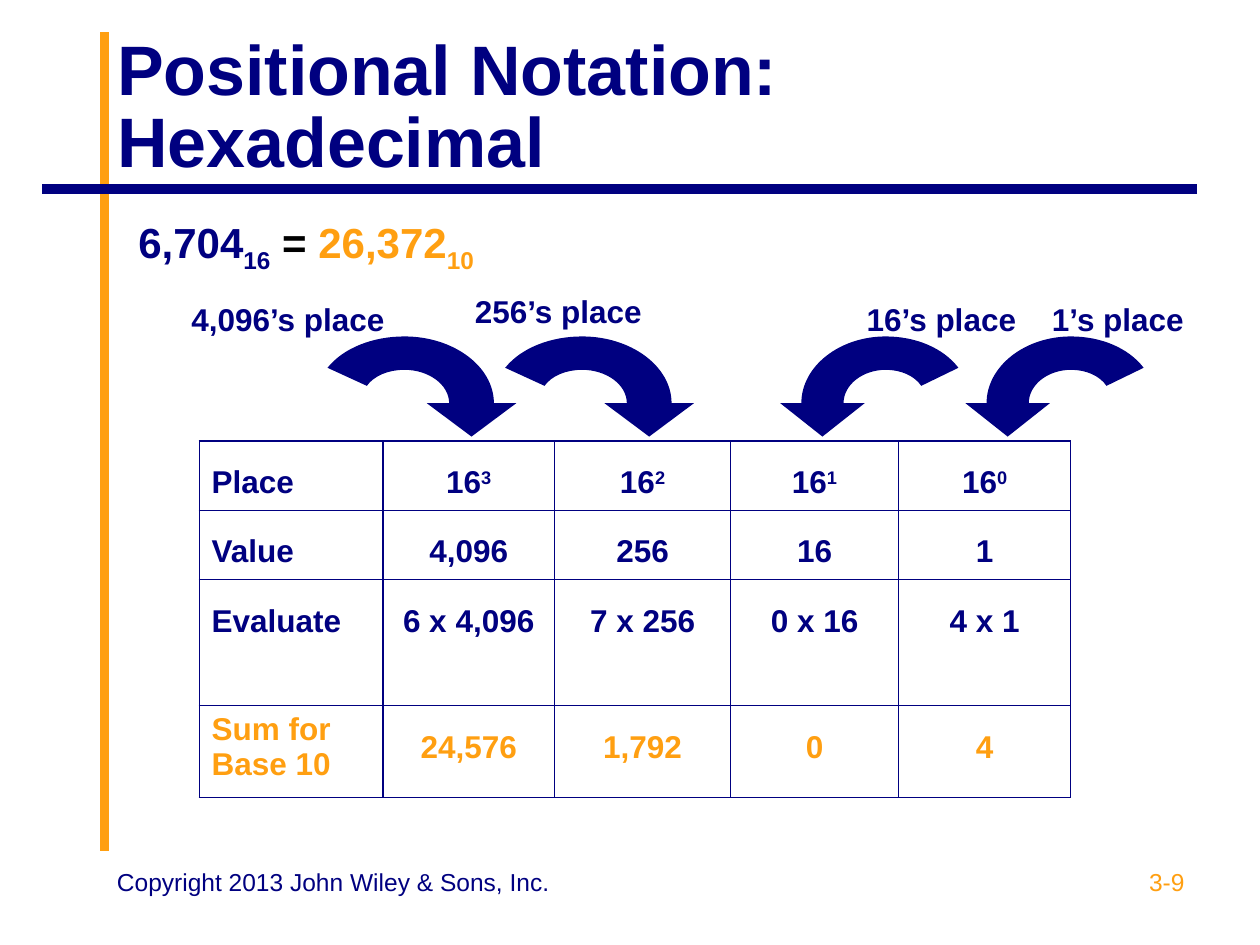
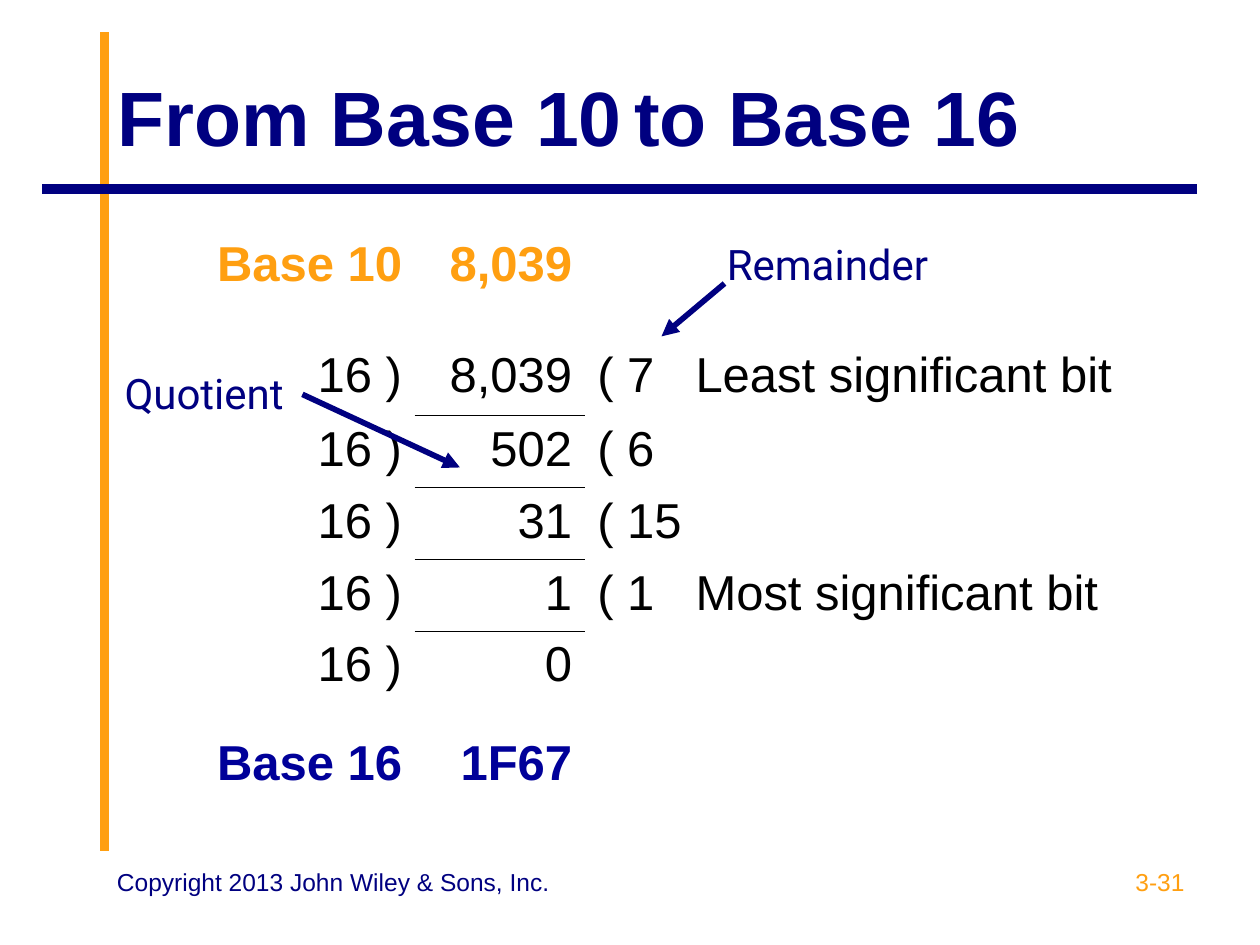
from dataclasses import dataclass

from lxml.etree import SubElement
from pptx import Presentation
from pptx.dml.color import RGBColor
from pptx.enum.shapes import MSO_CONNECTOR
from pptx.enum.text import MSO_ANCHOR, MSO_AUTO_SIZE, PP_ALIGN
from pptx.oxml.ns import qn
from pptx.util import Inches, Pt


@dataclass(frozen=True)
class Theme:
    navy: str = "000080"
    blue: str = "000099"
    orange: str = "FF9F11"
    black: str = "000000"
    font: str = "Arial"
    callout_font: str = "Roboto"
    footer: int = 14
    label: int = 18
    equation: int = 24
    division: int = 28
    rule: float = 5.5
    arrow: float = 3.25


T = Theme()
LEFT, CENTER, RIGHT = PP_ALIGN.LEFT, PP_ALIGN.CENTER, PP_ALIGN.RIGHT
NO_STYLE = "{2D5ABB26-0587-4C30-8999-92F81FD0307C}"

# Curved arrow in units of its radii: one point is a line, three are a curve
ARROW_START = (0.5, 0)
ARROW_SEGMENTS = [
    [(0.5, -0.28), (0.27, -0.5), (0, -0.5)],
    [(-0.18, -0.5), (-0.34, -0.41), (-0.42, -0.26)],
    [(-0.86, -0.53)],
    [(-0.68, -0.83), (-0.35, -1), (0, -1)],
    [(0.55, -1), (1, -0.55), (1, 0)],
    [(1.25, 0)], [(0.75, 0.5)], [(0.25, 0)],
]


def write(tf, *runs, size=T.label, color=T.navy, bold=False, font=T.font,
          align=LEFT, spacing=None, tab=None):
    """Fill tf with runs: plain strings, "\n" breaks or (text, changes) pairs."""
    p = tf.paragraphs[0]
    p.alignment = align
    if spacing:
        p.line_spacing = spacing
    if tab:
        tabs = SubElement(p._p.get_or_add_pPr(), qn("a:tabLst"))
        SubElement(tabs, qn("a:tab"), pos=str(Inches(tab)), algn="l")
    for run in runs:
        if run == "\n":
            p.add_line_break()
            continue
        text, changes = (run, {}) if isinstance(run, str) else run
        r = p.add_run()
        r.text = text
        r.font.name, r.font.bold = font, bold
        r.font.size = Pt(changes.get("size", size))
        r.font.color.rgb = RGBColor.from_string(changes.get("color", color))
        if "baseline" in changes:
            r._r.get_or_add_rPr().set("baseline", str(changes["baseline"] * 1000))


def add_text(s, box, *runs, **fmt):
    tf = s.shapes.add_textbox(*map(Inches, box)).text_frame
    tf.word_wrap = True
    write(tf, *runs, **fmt)


def add_line(s, start, end, color, width, arrow=False):
    line = s.shapes.add_connector(MSO_CONNECTOR.STRAIGHT, *map(Inches, start + end))
    line.line.color.rgb = RGBColor.from_string(color)
    line.line.width = Pt(width)
    sp_pr = line._element.spPr
    if arrow:
        SubElement(sp_pr.find(qn("a:ln")), qn("a:tailEnd"), type="triangle")
    SubElement(sp_pr, qn("a:effectLst"))


def set_borders(cell, sides, color, width):
    """Draw the named sides and clear the others."""
    tc_pr = cell._tc.get_or_add_tcPr()
    for i, side in enumerate("LRTB"):
        ln = SubElement(tc_pr, qn(f"a:ln{side}"), w=str(Pt(width)))
        if side in sides:
            fill = SubElement(ln, qn("a:solidFill"))
            SubElement(fill, qn("a:srgbClr"), val=color)
        else:
            SubElement(ln, qn("a:noFill"))
        tc_pr.insert(i, ln)


def add_grid(s, left, top, widths, heights):
    """Add a plain table without style, banding or fills."""
    box = map(Inches, (left, top, sum(widths), sum(heights)))
    table = s.shapes.add_table(len(heights), len(widths), *box).table
    table._tbl.tblPr.find(qn("a:tableStyleId")).text = NO_STYLE
    table.first_row = table.horz_banding = False
    for column, width in zip(table.columns, widths):
        column.width = Inches(width)
    for row, height in zip(table.rows, heights):
        row.height = Inches(height)
    for cell in table.iter_cells():
        cell.fill.background()
    return table


def base_slide(prs, number, *title, top, size, spacing=None):
    s = prs.slides.add_slide(prs.slide_layouts[5])
    # Crossed rules
    add_line(s, (0.83, 6.75), (0.83, 0.25), T.orange, T.rule)
    add_line(s, (9.5, 1.5), (0.33, 1.5), T.navy, T.rule)
    # Title
    sp = s.shapes.title
    sp.left, sp.top, sp.width, sp.height = map(Inches, (0.83, top, 8.67, 1.25))
    tf = sp.text_frame
    tf.word_wrap, tf.auto_size = True, MSO_AUTO_SIZE.NONE
    tf.vertical_anchor = MSO_ANCHOR.MIDDLE
    write(tf, *title, size=size, bold=True, spacing=spacing)
    # Footer
    add_text(s, (7.17, 6.83, 2.33, 0.52), number, size=T.footer,
             color=T.orange, align=RIGHT)
    add_text(s, (0.83, 6.83, 3.67, 0.52), "Copyright 2013 John Wiley & Sons, Inc.",
             size=T.footer)
    return s


def curved_arrow(s, cx, cy, rx, ry, direction):
    """Arc over (cx, cy) with its head to the right (1) or left (-1)."""
    def place(point):
        return Inches(cx + direction * rx * point[0]), Inches(cy + ry * point[1])

    builder = s.shapes.build_freeform(*place(ARROW_START))
    builder.add_line_segments([place(pt) for seg in ARROW_SEGMENTS for pt in seg])
    sp = builder.convert_to_shape()
    # Join each three points of a curve into one Bézier segment
    lines = iter(list(sp._element.iter(qn("a:lnTo"))))
    for segment in ARROW_SEGMENTS:
        steps = [next(lines) for _ in segment]
        if len(steps) == 3:
            outline = steps[0].getparent()
            curve = SubElement(outline, qn("a:cubicBezTo"))
            outline.replace(steps[0], curve)
            for step in steps:
                curve.append(step.find(qn("a:pt")))
            for step in steps[1:]:
                outline.remove(step)
    SubElement(outline, qn("a:close"))
    sp.shadow.inherit = False
    sp.fill.solid()
    sp.fill.fore_color.rgb = RGBColor.from_string(T.navy)
    sp.line.fill.background()


def place_labels(s, top):
    # label, left, drop, width, arrow centre, arrow radius, direction
    places = [("4,096’s place", 1.42, 0.06, 2, 3.21, 0.71, 1),
              ("256’s place", 3.67, 0, 1.67, 4.62, 0.71, 1),
              ("1’s place", 8.25, 0.06, 1.42, 8.5, 0.67, -1),
              ("16’s place", 6.78, 0.06, 1.42, 7.03, 0.67, -1)]
    for label, left, drop, width, cx, rx, direction in places:
        curved_arrow(s, cx, top + 0.93, rx, 0.53, direction)
        add_text(s, (left, top + drop, width, 0.4), label, bold=True)


def place_table(s, left, top):
    powers = [("16", (str(n), {"baseline": 30})) for n in (3, 2, 1, 0)]
    rows = [["Place", *powers],
            ["Value", "4,096", "256", "16", "1"],
            ["Evaluate", "6 x 4,096", "7 x 256", "0 x 16", "4 x 1"],
            ["Sum for Base 10", "24,576", "1,792", "0", "4"]]
    table = add_grid(s, left, top, (1.46, 1.36, 1.4, 1.33, 1.37),
                     (0.55, 0.55, 1, 0.73))
    for i, row in enumerate(rows):
        is_sum = i == len(rows) - 1
        for j, content in enumerate(row):
            cell = table.cell(i, j)
            runs = [content] if isinstance(content, str) else content
            write(cell.text_frame, *runs, bold=True,
                  color=T.orange if is_sum else T.navy,
                  align=CENTER if j else LEFT,
                  spacing=None if is_sum and j == 0 else 1.5)
            set_borders(cell, "LRTB", T.navy, 0.75)


def notation_slide(prs):
    s = base_slide(prs, "3-9", "Positional Notation: ", "\n", "Hexadecimal",
                   top=0.25, size=40, spacing=0.85)
    # Equation
    add_text(s, (1, 1.67, 8.5, 1.06), "6,704", ("16", {"baseline": -25}),
             (" = ", {"color": T.black}), ("26,372", {"color": T.orange}),
             ("10", {"color": T.orange, "baseline": -25}),
             size=T.equation, bold=True)
    place_table(s, 1.58, 3.5)
    place_labels(s, 2.27)


def division_table(s, left, top):
    rows = [("Base 10", "8,039", ""),
            ("16 )", "8,039", "( 7\tLeast significant bit"),
            ("16 )", "502", "( 6"),
            ("16 )", "31", "( 15"),
            ("16 )", "1", "( 1\tMost significant bit"),
            ("16 )", "0", ""),
            ("Base 16", "1F67", "")]
    last = len(rows) - 1
    ends = {0: T.orange, last: T.blue}
    table = add_grid(s, left, top, (1.8, 1.35, 4.61),
                     (0.67, 0.8, *[0.57] * 4, 0.9))
    for i, row in enumerate(rows):
        # Division lines between successive quotients
        sides = ("T" if 2 <= i < last else "") + ("B" if 1 <= i < last - 1 else "")
        for j, text in enumerate(row):
            cell = table.cell(i, j)
            set_borders(cell, sides if j == 1 else "", T.black, 0.45)
            if text:
                write(cell.text_frame, text, size=T.division,
                      color=ends.get(i, T.black), bold=i in ends,
                      align=RIGHT if j < 2 else LEFT,
                      spacing=1.5 if i in (1, last) else None,
                      tab=0.78 if "\t" in text else None)


def callout(s, box, text, start, end):
    add_text(s, box, text, size=T.equation, font=T.callout_font)
    add_line(s, start, end, T.navy, T.arrow, arrow=True)


def conversion_slide(prs):
    s = base_slide(prs, "3-31", "From Base 10", (" ", {"size": 24}), "to Base 16",
                   top=0.29, size=44)
    division_table(s, 1.49, 1.83)
    callout(s, (0.89, 2.87, 1.6, 0.5), "Quotient", (2.4, 3.13), (3.65, 3.71))
    callout(s, (5.67, 1.84, 2, 0.5), "Remainder", (5.75, 2.25), (5.25, 2.67))


def main():
    prs = Presentation()
    prs.slide_width, prs.slide_height = Inches(10), Inches(7.5)
    notation_slide(prs)
    conversion_slide(prs)
    prs.save("out.pptx")


if __name__ == "__main__":
    main()
